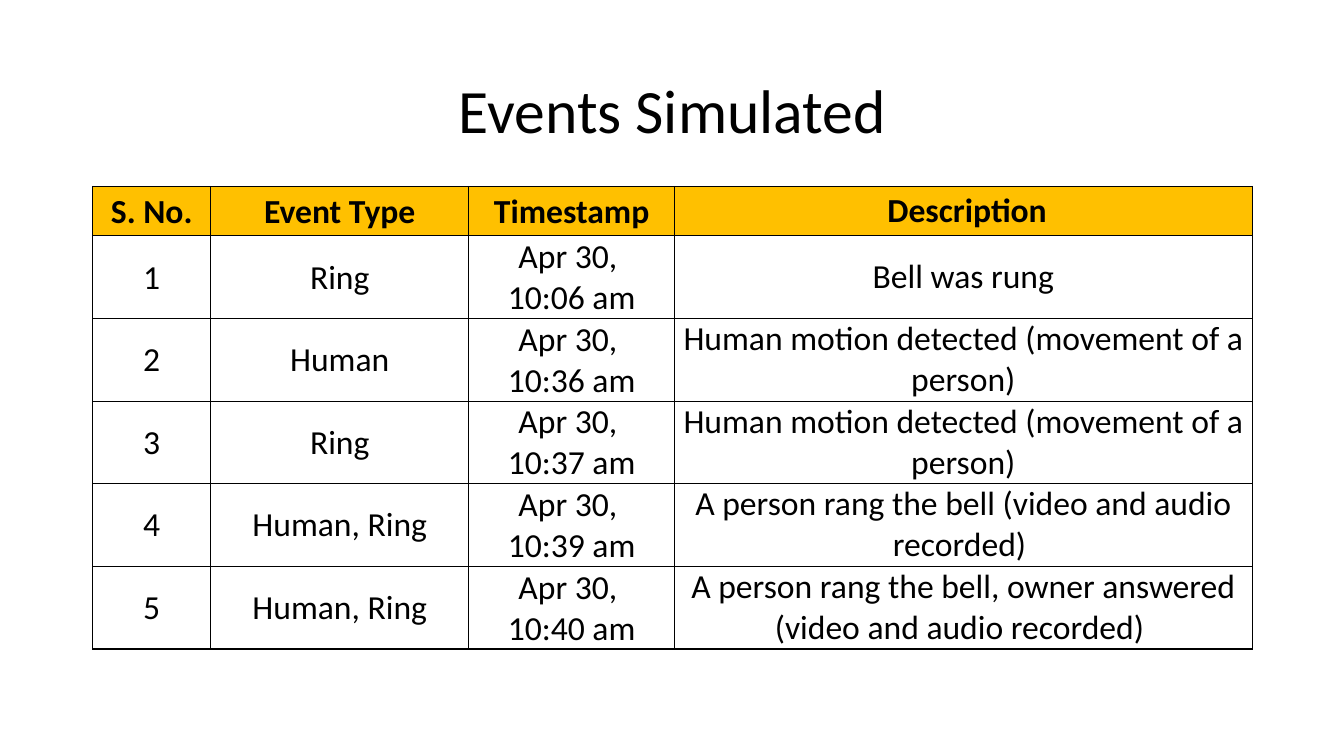
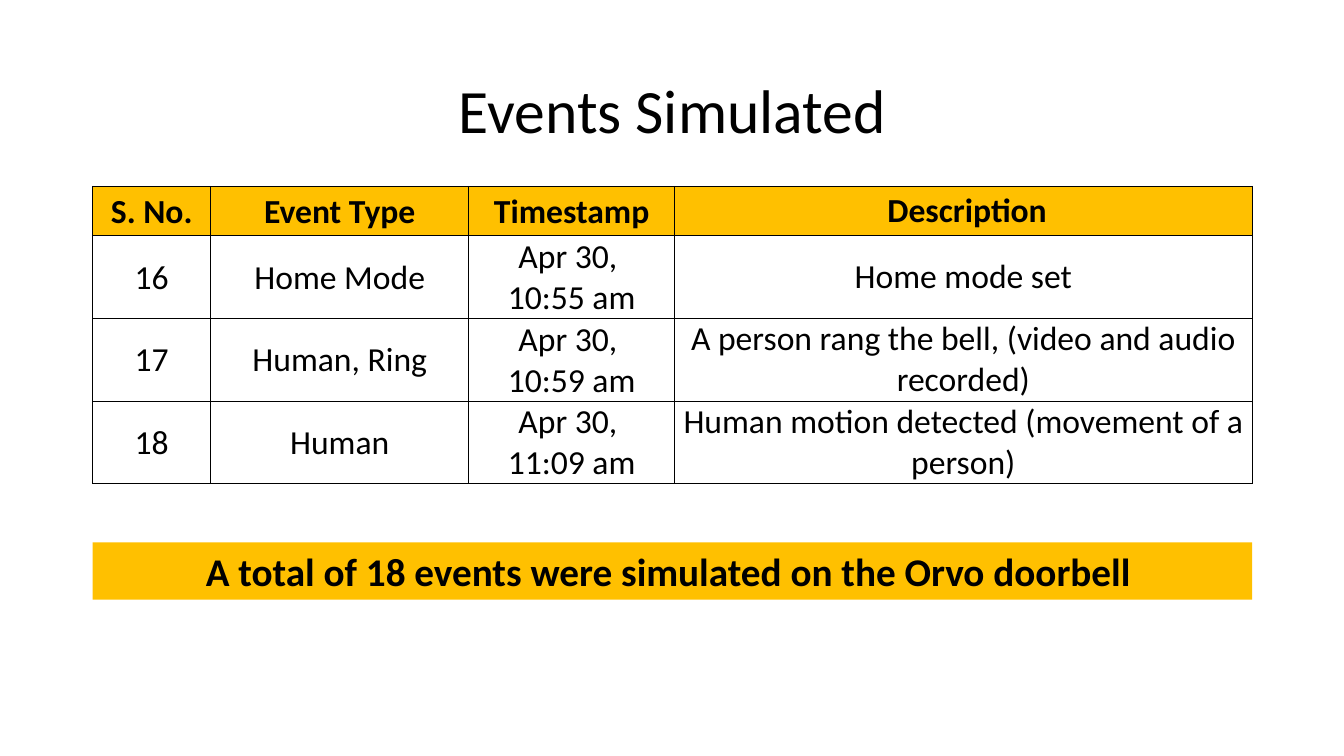
from dataclasses import dataclass

from lxml import etree
from pptx import Presentation
from pptx.dml.color import RGBColor
from pptx.enum.shapes import MSO_SHAPE
from pptx.enum.text import MSO_ANCHOR, PP_ALIGN
from pptx.oxml.ns import qn
from pptx.slide import Slide
from pptx.table import _Cell
from pptx.text.text import TextFrame
from pptx.util import Inches, Pt

BLACK = RGBColor(0x00, 0x00, 0x00)
AMBER = RGBColor(0xFF, 0xC0, 0x00)
CENTER = PP_ALIGN.CENTER
MIDDLE = MSO_ANCHOR.MIDDLE
RECTANGLE = MSO_SHAPE.RECTANGLE

FONT = "Calibri"
TITLE = "Events Simulated"
TITLE_SIZE, TABLE_SIZE, BANNER_SIZE = 44, 24, 28
LEFT, WIDTH = Inches(0.92), Inches(11.5)
TITLE_TOP, TITLE_HEIGHT = Inches(0.4), Inches(1.45)
TABLE_TOP = TITLE_TOP + TITLE_HEIGHT
HEADER_HEIGHT, EVENT_HEIGHT = Inches(0.49), Inches(0.82)
BANNER_TOP, BANNER_HEIGHT = Inches(5.38), Inches(0.57)
COLUMN_WIDTHS = (Inches(1.17), Inches(2.56), Inches(2.04), Inches(5.73))
HEADERS = ("S. No.", "Event Type", "Timestamp", " Description")
BORDER_WIDTH = Pt(1)

DAY = "Apr 30, "
MOTION = "Human motion detected (movement of a person)"


@dataclass(frozen=True)
class Event:
    number: int
    kind: str
    time: str
    description: str

    def cell_texts(self) -> tuple[str, ...]:
        return str(self.number), self.kind, f"{DAY}\n{self.time}", self.description


FIRST_EVENTS = (
    Event(1, "Ring", "10:06 am", "Bell was rung"),
    Event(2, "Human", "10:36 am", MOTION),
    Event(3, "Ring", "10:37 am", MOTION),
    Event(4, "Human, Ring", "10:39 am", "A person rang the bell (video and audio recorded) "),
    Event(5, "Human, Ring", "10:40 am",
          "A person rang the bell, owner answered (video and audio recorded) "),
)
LAST_EVENTS = (
    Event(16, "Home Mode", "10:55 am", "Home mode set"),
    Event(17, "Human, Ring", "10:59 am", "A person rang the bell, (video and audio recorded)"),
    Event(18, "Human", "11:09 am", MOTION),
)


def write_text(frame: TextFrame, text: str, size: int, bold: bool = False,
               line_spacing: float = 1.0) -> None:
    """Write each line of text as a centred paragraph."""
    frame.word_wrap = True
    for index, line in enumerate(text.split("\n")):
        paragraph = frame.add_paragraph() if index else frame.paragraphs[0]
        paragraph.alignment = CENTER
        paragraph.line_spacing = line_spacing
        run = paragraph.add_run()
        run.text = line
        run.font.name = FONT
        run.font.size = Pt(size)
        run.font.bold = bold
        run.font.color.rgb = BLACK


def add_borders(cell: _Cell) -> None:
    properties = cell._tc.get_or_add_tcPr()
    for side in ("a:lnL", "a:lnR", "a:lnT", "a:lnB"):
        line = etree.SubElement(properties, qn(side), w=str(BORDER_WIDTH))
        fill = etree.SubElement(line, qn("a:solidFill"))
        etree.SubElement(fill, qn("a:srgbClr"), val=str(BLACK))


def format_cell(cell: _Cell, text: str, is_header: bool, is_description: bool) -> None:
    cell.vertical_anchor = MIDDLE
    cell.margin_left = cell.margin_right = Inches(0 if is_description else 0.07)
    cell.margin_top = Inches(0 if is_description else 0.01)
    cell.margin_bottom = 0
    add_borders(cell)
    if is_header:
        cell.fill.solid()
        cell.fill.fore_color.rgb = AMBER
    else:
        cell.fill.background()
    write_text(cell.text_frame, text, TABLE_SIZE, bold=is_header)


def add_title(slide: Slide) -> None:
    frame = slide.shapes.add_textbox(LEFT, TITLE_TOP, WIDTH, TITLE_HEIGHT).text_frame
    frame.vertical_anchor = MIDDLE
    write_text(frame, TITLE, TITLE_SIZE, line_spacing=0.9)


def add_event_table(slide: Slide, events: tuple[Event, ...]) -> None:
    rows = [HEADERS, *(event.cell_texts() for event in events)]
    height = HEADER_HEIGHT + EVENT_HEIGHT * len(events)
    table = slide.shapes.add_table(
        len(rows), len(HEADERS), LEFT, TABLE_TOP, WIDTH, height).table
    table.first_row = table.horz_banding = False
    for column, width in zip(table.columns, COLUMN_WIDTHS):
        column.width = width
    for row_index, texts in enumerate(rows):
        is_header = row_index == 0
        table.rows[row_index].height = HEADER_HEIGHT if is_header else EVENT_HEIGHT
        for column_index, text in enumerate(texts):
            format_cell(table.cell(row_index, column_index), text, is_header,
                        is_description=column_index == len(HEADERS) - 1)


def add_banner(slide: Slide, text: str) -> None:
    banner = slide.shapes.add_shape(RECTANGLE, LEFT, BANNER_TOP, WIDTH, BANNER_HEIGHT)
    banner.shadow.inherit = False
    banner.fill.solid()
    banner.fill.fore_color.rgb = AMBER
    banner.line.fill.background()
    banner.text_frame.vertical_anchor = MIDDLE
    write_text(banner.text_frame, text, BANNER_SIZE, bold=True)


def main() -> None:
    presentation = Presentation()
    presentation.slide_width = Inches(13.33)
    presentation.slide_height = Inches(7.5)
    blank_layout = presentation.slide_layouts[6]
    for events in (FIRST_EVENTS, LAST_EVENTS):
        slide = presentation.slides.add_slide(blank_layout)
        add_title(slide)
        add_event_table(slide, events)
    add_banner(slide, "A total of 18 events were simulated on the Orvo doorbell ")
    presentation.save("out.pptx")


if __name__ == "__main__":
    main()
